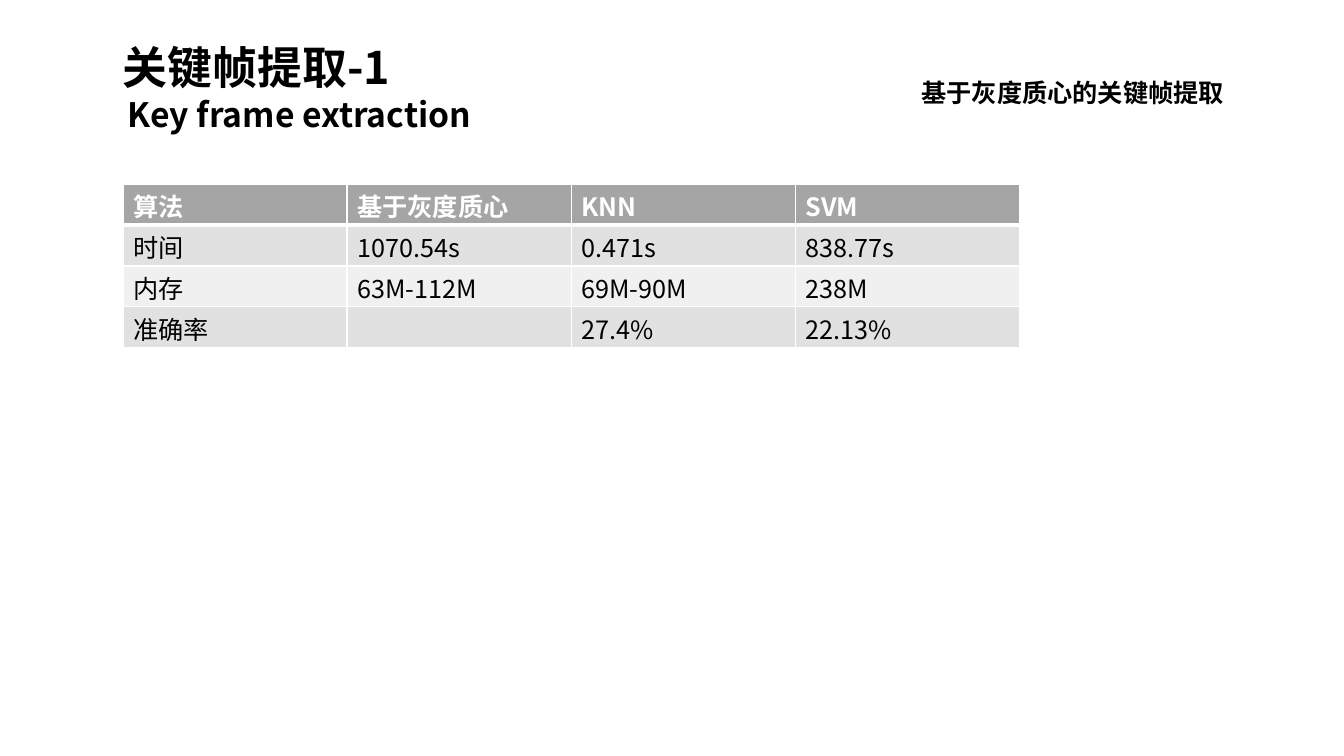
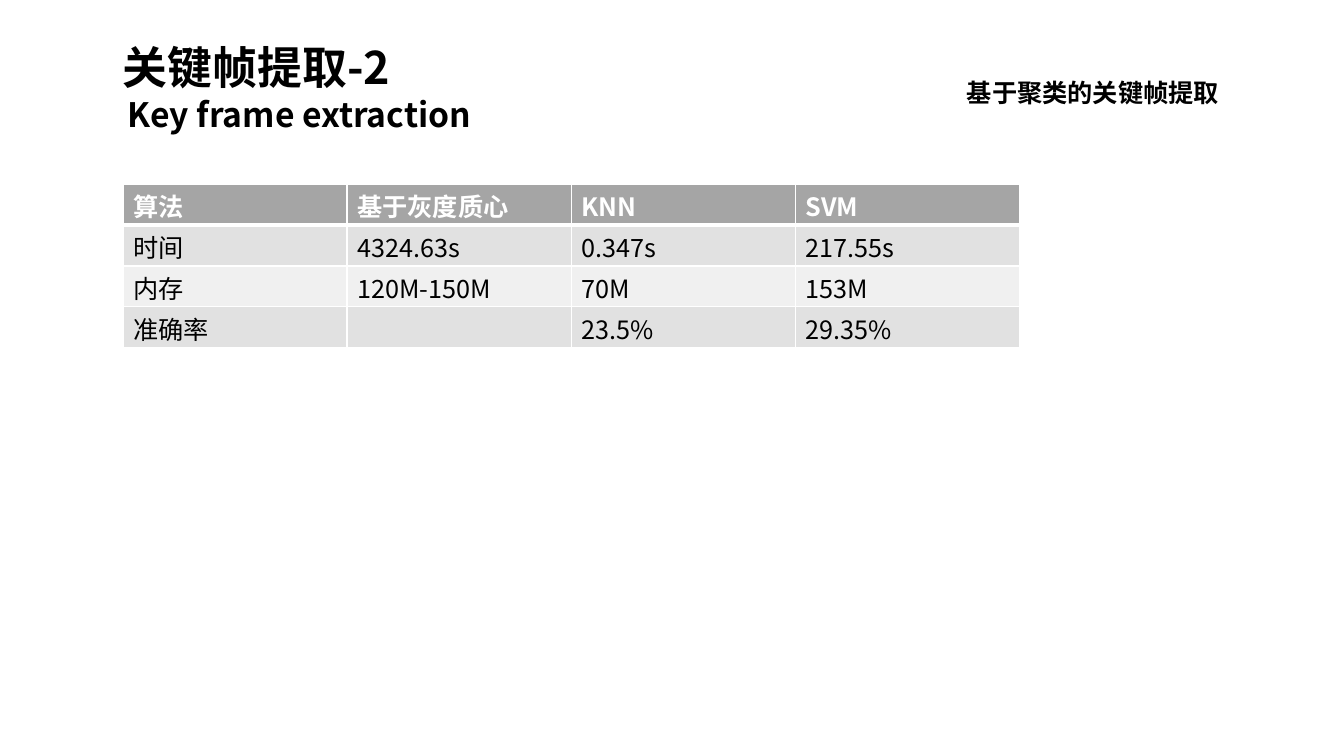
from pptx import Presentation
from pptx.dml.color import RGBColor
from pptx.enum import text
from pptx.oxml import parse_xml
from pptx.oxml.ns import nsdecls
from pptx.util import Inches, Pt

BLACK = RGBColor(0x00, 0x00, 0x00)
WHITE = RGBColor(0xFF, 0xFF, 0xFF)
HEADER_FILL = RGBColor(0xA5, 0xA5, 0xA5)
BAND_FILLS = (RGBColor(0xE1, 0xE1, 0xE1), RGBColor(0xF0, 0xF0, 0xF0))

HEADING_FONT = "Noto Sans CJK JP"
TABLE_FONT = "Noto Sans CJK SC"

TITLE_BOX = (1.12, 0.34, 3.14, 0.64)
SUBTITLE_BOX = (1.17, 0.88, 5.17, 0.5)
TOPIC_BOX = (9.04, 0.72, 3.39, 0.4)
TABLE_BOX = (1.22, 1.83, 8.89, 1.62)

SUBTITLE = "Key frame extraction"
HEADER = ("算法", "基于灰度质心", "KNN", "SVM")

# Title, topic, left inset of the topic, table rows
SLIDES = (
    ("关键帧提取-1", "基于灰度质心的关键帧提取", 0.1, (
        ("时间", "1070.54s", "0.471s", "838.77s"),
        ("内存", "63M-112M", "69M-90M", "238M"),
        ("准确率", "", "27.4%", "22.13%"),
    )),
    ("关键帧提取-2", "基于聚类的关键帧提取", 0.55, (
        ("时间", "4324.63s", "0.347s", "217.55s"),
        ("内存", "120M-150M", "70M", "153M"),
        ("准确率", "", "23.5%", "29.35%"),
    )),
)


def set_font(font, name, size, color, bold):
    """Format a font, for Latin and East Asian letters alike."""
    for attribute, value in {"name": name, "size": Pt(size), "bold": bold}.items():
        setattr(font, attribute, value)
    font.color.rgb = color


def write(paragraph, content, name, size, color, bold):
    set_font(paragraph.font, name, size, color, bold)
    if not content:
        return
    run = paragraph.add_run()
    run.text = content
    set_font(run.font, name, size, color, bold)
    run.font._element.find("{*}latin").addnext(
        parse_xml(f'<a:ea {nsdecls("a")} typeface="{name}"/>'))


def add_heading(slide, box, content, size, left_inset=0.1):
    shape = slide.shapes.add_textbox(*map(Inches, box))
    frame = shape.text_frame
    for attribute, value in {
        "word_wrap": True,
        "auto_size": text.MSO_AUTO_SIZE.SHAPE_TO_FIT_TEXT,
        "margin_left": Inches(left_inset),
    }.items():
        setattr(frame, attribute, value)
    write(frame.paragraphs[0], content, HEADING_FONT, size, BLACK, True)


def set_borders(cell, bottom_width):
    properties = cell._tc.get_or_add_tcPr()
    widths = {"lnL": 1, "lnR": 1, "lnT": 1, "lnB": bottom_width}
    for position, (side, width) in enumerate(widths.items()):
        properties.insert(position, parse_xml(
            f'<a:{side} {nsdecls("a")} w="{Pt(width)}"><a:solidFill>'
            f'<a:srgbClr val="{WHITE}"/></a:solidFill></a:{side}>'))


def add_results_table(slide, box, rows):
    """Place a table with a dark header row and banded body rows."""
    left, top, width, height = map(Inches, box)
    table = slide.shapes.add_table(
        len(rows), len(rows[0]), left, top, width, height).table
    for row_index, row in enumerate(rows):
        is_header = row_index == 0
        fill = HEADER_FILL if is_header else BAND_FILLS[(row_index - 1) % 2]
        for column_index, content in enumerate(row):
            cell = table.cell(row_index, column_index)
            cell.margin_top, cell.margin_bottom = Inches(0.03), 0
            cell.fill.solid()
            cell.fill.fore_color.rgb = fill
            set_borders(cell, 3 if is_header else 1)
            write(cell.text_frame.paragraphs[0], content, TABLE_FONT, 18,
                  WHITE if is_header else BLACK, is_header)


def add_results_slide(presentation, title, topic, topic_inset, rows):
    slide = presentation.slides.add_slide(presentation.slide_layouts[6])
    add_heading(slide, TITLE_BOX, title, 32)
    add_heading(slide, SUBTITLE_BOX, SUBTITLE, 24)
    add_heading(slide, TOPIC_BOX, topic, 18, topic_inset)
    add_results_table(slide, TABLE_BOX, (HEADER, *rows))


def main():
    presentation = Presentation()
    presentation.slide_width = Inches(13.33)
    presentation.slide_height = Inches(7.5)
    for content in SLIDES:
        add_results_slide(presentation, *content)
    presentation.save("out.pptx")


if __name__ == "__main__":
    main()
